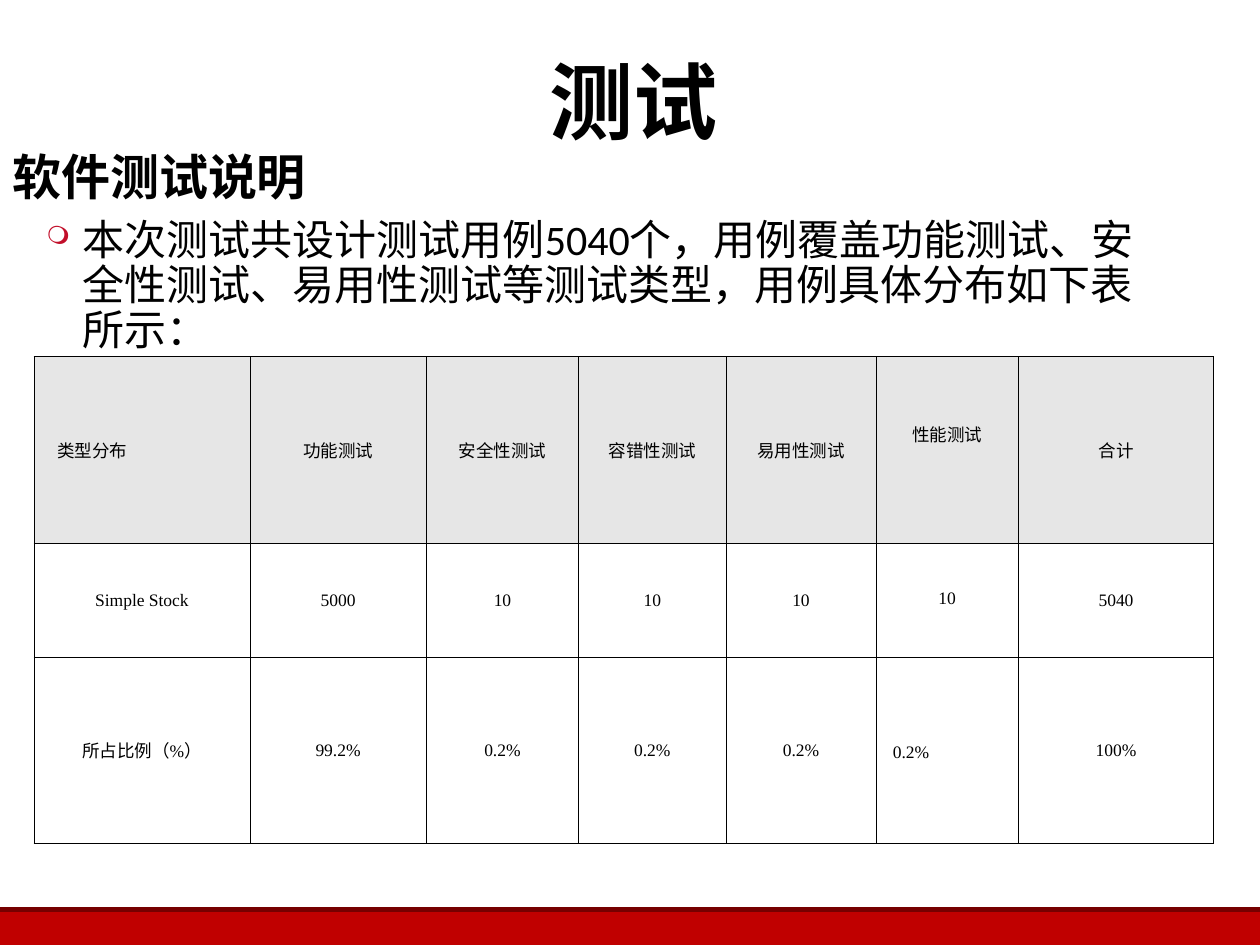
from dataclasses import dataclass

from lxml import etree
from pptx import Presentation
from pptx.dml.color import RGBColor
from pptx.enum.shapes import MSO_SHAPE
from pptx.enum.text import MSO_ANCHOR, PP_ALIGN
from pptx.oxml.ns import qn
from pptx.util import Pt

RECTANGLE = MSO_SHAPE.RECTANGLE
TOP, MIDDLE, BOTTOM = MSO_ANCHOR.TOP, MSO_ANCHOR.MIDDLE, MSO_ANCHOR.BOTTOM
LEFT, CENTER = PP_ALIGN.LEFT, PP_ALIGN.CENTER

CJK_FONT = "Noto Sans CJK SC"
BLACK = "000000"
HEADER_GREY = "E6E6E6"
WHITE = "FFFFFF"


@dataclass
class Box:
    left: float
    top: float
    width: float
    height: float

    def lengths(self):
        return Pt(self.left), Pt(self.top), Pt(self.width), Pt(self.height)


@dataclass
class CellLayout:
    """Alignment and margins in points of one table cell."""
    align: PP_ALIGN = CENTER
    left: float = 7.2
    top: float = 3.6
    bottom: float = 3.6


COLUMN_WIDTHS = [123.4, 100.8, 87.1, 84.2, 85.7, 81.4, 111.6]
ROW_HEIGHTS = [106.5, 65.5, 106]
DISTRIBUTION = [
    ["类型分布", "功能测试", "安全性测试", "容错性测试", "易用性测试", "性能测试", "合计"],
    ["Simple Stock", "5000", "10", "10", "10", "10", "5040"],
    ["所占比例（%）", "99.2%", "0.2%", "0.2%", "0.2%", "0.2%", "100%"],
]
SPECIAL_LAYOUTS = {
    (0, 0): CellLayout(align=LEFT, left=13.5),
    (0, 5): CellLayout(bottom=22),
    (1, 5): CellLayout(bottom=6),
    (2, 5): CellLayout(align=LEFT, left=9.7, top=6),
}


def colour(value: str) -> RGBColor:
    return RGBColor.from_string(value)


def write(frame, text: str, *, size: float, font: str, bold: bool = False,
          align: PP_ALIGN = LEFT, spacing=None):
    paragraph = frame.paragraphs[0]
    paragraph.alignment = align
    paragraph.line_spacing = spacing
    run = paragraph.add_run()
    run.text = text
    run.font.size = Pt(size)
    run.font.bold = bold
    run.font.color.rgb = colour(BLACK)
    run.font.name = font
    east_asian = etree.SubElement(run.font._element, qn("a:ea"))
    east_asian.set("typeface", CJK_FONT)
    return paragraph


def add_frame(slide, box: Box, anchor: MSO_ANCHOR = TOP):
    frame = slide.shapes.add_textbox(*box.lengths()).text_frame
    frame.word_wrap = True
    frame.vertical_anchor = anchor
    return frame


def add_bar(slide, box: Box, fill: str) -> None:
    bar = slide.shapes.add_shape(RECTANGLE, *box.lengths())
    bar.shadow.inherit = False
    bar.fill.solid()
    bar.fill.fore_color.rgb = colour(fill)
    bar.line.fill.background()


def add_bullet(paragraph, char: str, fill: str, percent: int, indent: float) -> None:
    properties = paragraph._p.get_or_add_pPr()
    properties.set("marL", str(Pt(indent)))
    properties.set("indent", str(-Pt(indent)))
    bullet_colour = etree.SubElement(properties, qn("a:buClr"))
    etree.SubElement(bullet_colour, qn("a:srgbClr")).set("val", fill)
    etree.SubElement(properties, qn("a:buSzPct")).set("val", str(percent * 1000))
    etree.SubElement(properties, qn("a:buChar")).set("char", char)


def add_borders(cell, width: float) -> None:
    """Put black lines before the fill, as the schema orders them."""
    properties = cell._tc.get_or_add_tcPr()
    for position, side in enumerate(("a:lnL", "a:lnR", "a:lnT", "a:lnB")):
        line = etree.Element(qn(side), w=str(Pt(width)))
        fill = etree.SubElement(line, qn("a:solidFill"))
        etree.SubElement(fill, qn("a:srgbClr")).set("val", BLACK)
        properties.insert(position, line)


def add_distribution_table(slide, box: Box) -> None:
    table = slide.shapes.add_table(
        len(ROW_HEIGHTS), len(COLUMN_WIDTHS), *box.lengths()).table
    for column, width in zip(table.columns, COLUMN_WIDTHS):
        column.width = Pt(width)
    for row, height in zip(table.rows, ROW_HEIGHTS):
        row.height = Pt(height)
    for r, labels in enumerate(DISTRIBUTION):
        for c, label in enumerate(labels):
            layout = SPECIAL_LAYOUTS.get((r, c), CellLayout())
            cell = table.cell(r, c)
            cell.vertical_anchor = MIDDLE
            cell.margin_left = Pt(layout.left)
            cell.margin_top = Pt(layout.top)
            cell.margin_bottom = Pt(layout.bottom)
            cell.fill.solid()
            cell.fill.fore_color.rgb = colour(WHITE if r else HEADER_GREY)
            add_borders(cell, 0.45)
            write(cell.text_frame, label, size=10, font="Times New Roman",
                  align=layout.align)


def main() -> None:
    presentation = Presentation()
    presentation.slide_width, presentation.slide_height = Pt(720), Pt(540)
    slide = presentation.slides.add_slide(presentation.slide_layouts[6])

    add_bar(slide, Box(0, 518.4, 720, 19.4), "760000")
    add_bar(slide, Box(0, 521.3, 720, 18.7), "C00000")

    subtitle = add_frame(slide, Box(0, 20.2, 306.7, 98.6), BOTTOM)
    subtitle.margin_bottom = Pt(0.8)
    write(subtitle, "软件测试说明", size=28, font="Calibri", bold=True, spacing=0.9)

    summary = add_frame(slide, Box(19.4, 118.8, 640.8, 147.6))
    summary.margin_top = Pt(6.4)
    sentence = write(
        summary,
        "本次测试共设计测试用例5040个，用例覆盖功能测试、安全性测试、易用性测试等测试类型，用例具体分布如下表所示：",
        size=24, font="Calibri", spacing=Pt(25.7))
    add_bullet(sentence, "❍", "C20F2A", percent=60, indent=20.9)

    add_distribution_table(slide, Box(19.4, 203.8, 674.6, 278))

    title = add_frame(slide, Box(306.7, 20.2, 176.4, 64.8))
    write(title, "测试", size=48, font="Arial", bold=True, spacing=Pt(62))

    presentation.save("out.pptx")


if __name__ == "__main__":
    main()
